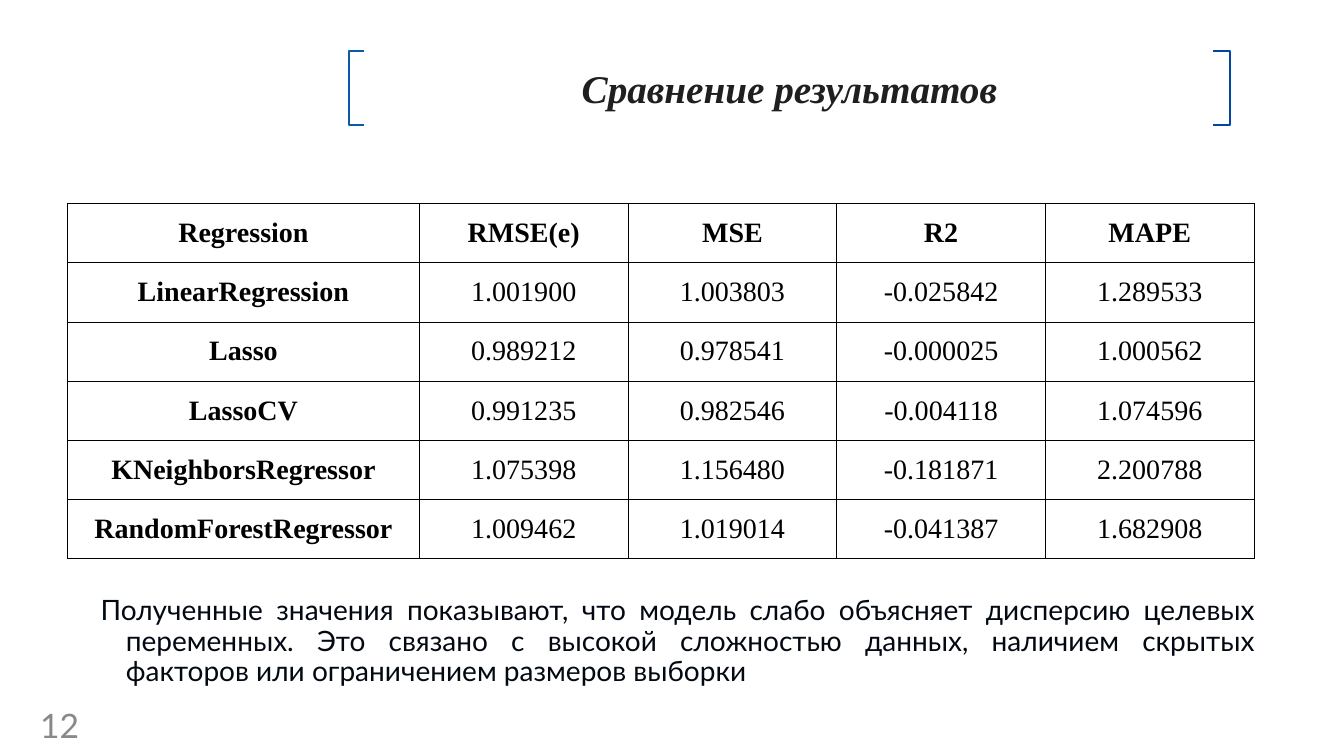
from lxml import etree
from pptx import Presentation
from pptx.dml.color import RGBColor
from pptx.enum.shapes import MSO_SHAPE
from pptx.enum.text import MSO_ANCHOR, PP_ALIGN
from pptx.oxml.ns import qn
from pptx.util import Inches, Pt

CENTER, JUSTIFY = PP_ALIGN.CENTER, PP_ALIGN.JUSTIFY
MIDDLE = MSO_ANCHOR.MIDDLE
RECTANGLE = MSO_SHAPE.RECTANGLE
COLORS = {
    "white": "FFFFFF",
    "black": "000000",
    "title": "1F1F1F",
    "body": "020912",
    "number": "898989",
    "left bracket": "065CAB",
    "right bracket": "0046A2",
}
SERIF, SANS = "Times New Roman", "Lato"


def style_text(paragraph, font_name, size, color, bold=False, italic=False):
    for span in paragraph.runs:
        span.font.name = font_name
        span.font.size = Pt(size)
        span.font.bold = bold
        span.font.italic = italic
        span.font.color.rgb = RGBColor.from_string(COLORS[color])


def add_cell_borders(cell):
    """Draw a thin black line on all four sides of a cell."""
    properties = cell._tc.get_or_add_tcPr()
    for position, side in enumerate(("a:lnL", "a:lnR", "a:lnT", "a:lnB")):
        line = etree.Element(qn(side), w=str(Pt(0.5)))
        fill = etree.SubElement(line, qn("a:solidFill"))
        etree.SubElement(fill, qn("a:srgbClr"), val=COLORS["black"])
        properties.insert(position, line)


deck = Presentation()
deck.slide_width, deck.slide_height = Inches(13.33), Inches(7.5)
page = deck.slides.add_slide(deck.slide_layouts[6])

# Slide number
number_box = page.shapes.add_textbox(Inches(0.3), Inches(7.04), Inches(0.69), Inches(0.3))
number_box.text_frame.word_wrap = True
number_box.text_frame.vertical_anchor = MIDDLE
number_box.text_frame.text = "12"
style_text(number_box.text_frame.paragraphs[0], SANS, 24, "number")

# Conclusion with a hanging indent
conclusion_box = page.shapes.add_textbox(Inches(0.65), Inches(5.87), Inches(11.9), Inches(1.08))
conclusion_box.text_frame.word_wrap = True
conclusion_box.text_frame.text = (
    "Полученные значения показывают, что модель слабо объясняет дисперсию целевых "
    "переменных. Это связано с высокой сложностью данных, наличием скрытых факторов "
    "или ограничением размеров выборки"
)
conclusion = conclusion_box.text_frame.paragraphs[0]
conclusion.alignment = JUSTIFY
conclusion.line_spacing = 0.9
indents = conclusion._p.get_or_add_pPr()
indents.set("marL", str(Inches(0.5)))
indents.set("indent", str(Inches(-0.25)))
style_text(conclusion, SANS, 20, "body")

# Title between two square brackets
left, top, width, height = 3.46, 0.51, 8.74, 0.73
right, bottom = left + width, top + height
title_box = page.shapes.add_shape(RECTANGLE, Inches(left), Inches(top), Inches(width), Inches(height))
title_box.shadow.inherit = False
title_box.fill.solid()
title_box.fill.fore_color.rgb = RGBColor.from_string(COLORS["white"])
title_box.line.color.rgb = RGBColor.from_string(COLORS["white"])
title_box.line.width = Pt(2)
title_box.text_frame.vertical_anchor = MIDDLE
title_box.text_frame.text = "Сравнение результатов"
title = title_box.text_frame.paragraphs[0]
title.alignment = CENTER
style_text(title, SERIF, 28, "title", bold=True, italic=True)

for color, edge, tip in (
    ("left bracket", left, left + 0.15),
    ("right bracket", right, right - 0.17),
):
    builder = page.shapes.build_freeform(Inches(tip), Inches(top))
    corners = [(edge, top), (edge, bottom), (tip, bottom)]
    builder.add_line_segments([(Inches(x), Inches(y)) for x, y in corners], close=False)
    bracket = builder.convert_to_shape()
    bracket.shadow.inherit = False
    bracket.fill.background()
    bracket.line.color.rgb = RGBColor.from_string(COLORS[color])
    bracket.line.width = Pt(1.3)

# Metrics of the regression models
metrics = [
    ("Regression", "RMSE(e)", "MSE", "R2", "MAPE"),
    ("LinearRegression", "1.001900", "1.003803", "-0.025842", "1.289533"),
    ("Lasso", "0.989212", "0.978541", "-0.000025", "1.000562"),
    ("LassoCV", "0.991235", "0.982546", "-0.004118", "1.074596"),
    ("KNeighborsRegressor", "1.075398", "1.156480", "-0.181871", "2.200788"),
    ("RandomForestRegressor", "1.009462", "1.019014", "-0.041387", "1.682908"),
]
table = page.shapes.add_table(
    len(metrics), len(metrics[0]), Inches(0.67), Inches(2.02), Inches(11.77), Inches(3.52)
).table
for index, column in enumerate(table.columns):
    column.width = Inches(2.07 if index else 3.49)

for row_index, values in enumerate(metrics):
    for column_index, value in enumerate(values):
        cell = table.cell(row_index, column_index)
        cell.text_frame.text = value
        cell.vertical_anchor = MIDDLE
        cell.margin_left = cell.margin_right = Inches(0.01)
        cell.margin_top = cell.margin_bottom = Inches(0.08)
        cell.fill.background()
        add_cell_borders(cell)
        paragraph = cell.text_frame.paragraphs[0]
        paragraph.alignment = CENTER
        is_heading = row_index == 0 or column_index == 0
        style_text(paragraph, SERIF, 20, "black", bold=is_heading)

deck.save("out.pptx")
